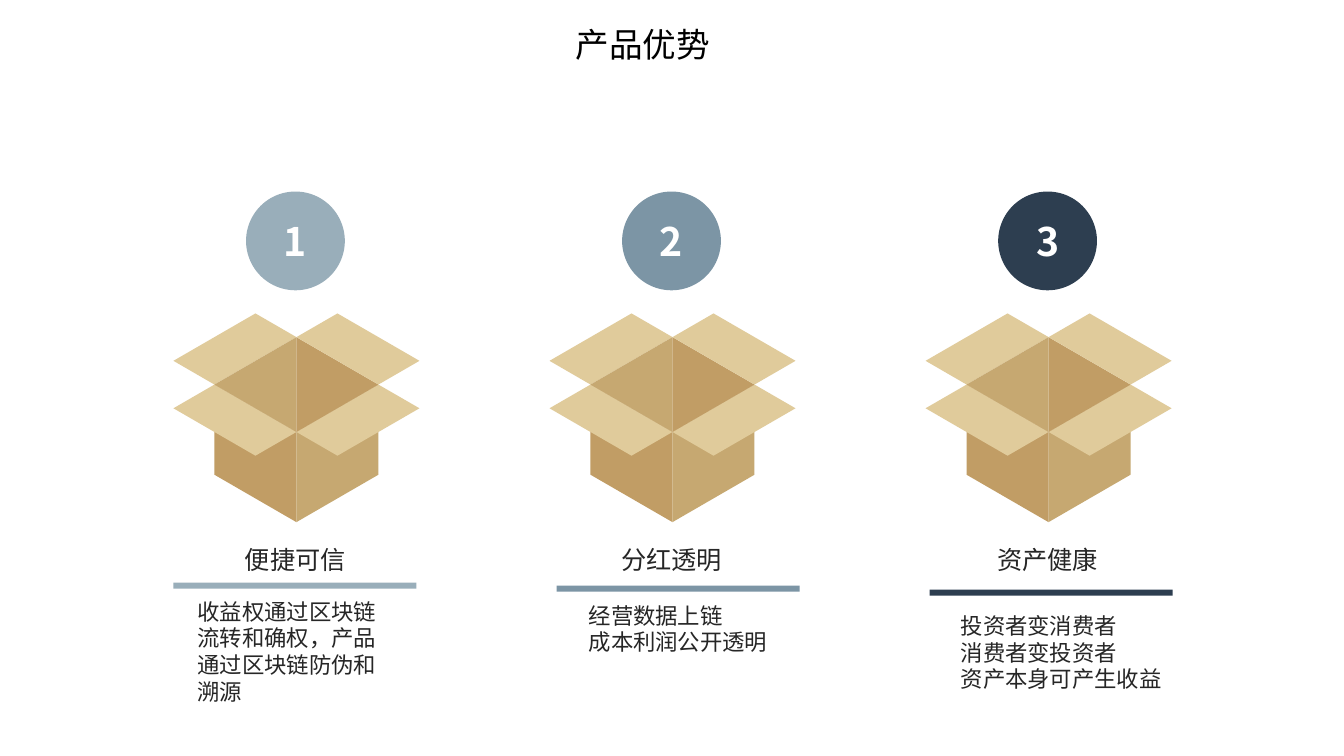
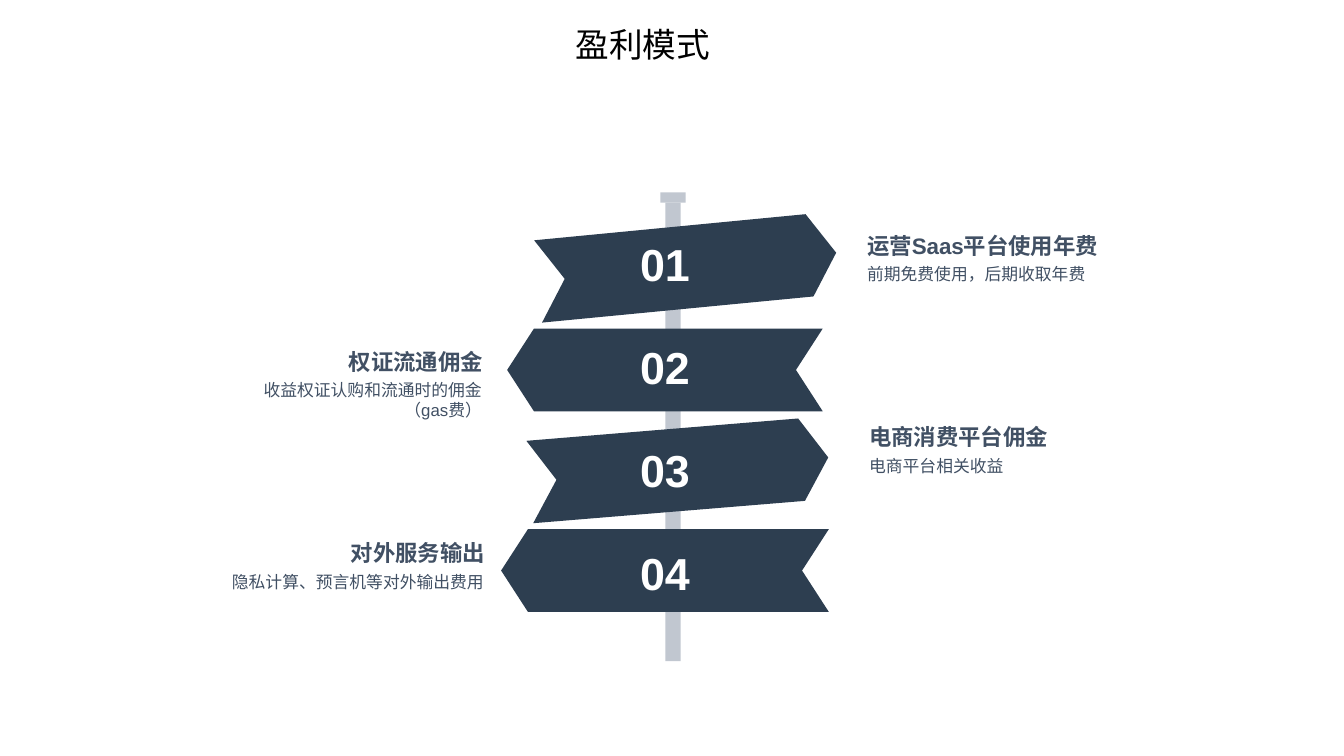
import pptx
import pptx.util
import pptx.dml.color
import pptx.enum.shapes
import pptx.enum.text
import pptx.oxml
import pptx.oxml.ns

Inches = pptx.util.Inches
SHAPE = pptx.enum.shapes.MSO_SHAPE
ALIGN = pptx.enum.text.PP_ALIGN
CJK, LATIN = "Noto Sans CJK SC", "Arial"
NAVY, STEEL, MIST = "2D3E50", "7C95A5", "99AEBA"
BLACK, INK, SLATE, WHITE, POST = "000000", "262626", "415064", "FFFFFF", "C1C7D0"
KRAFT_DARK, KRAFT_MID, KRAFT_LIGHT = "C19D65", "C6A871", "E0CB9B"


def rgb(value):
    return pptx.dml.color.RGBColor.from_string(value)


def paint(shape, color):
    shape.shadow.inherit = False
    shape.fill.solid()
    shape.fill.fore_color.rgb = rgb(color)
    shape.line.fill.background()
    return shape


def add_block(shapes, kind, left, top, width, height, color):
    return paint(shapes.add_shape(kind, Inches(left), Inches(top),
                                  Inches(width), Inches(height)), color)


def write(frame, lines, size, color, font=CJK, bold=False, align=ALIGN.LEFT):
    frame.word_wrap = True
    for index, line in enumerate(lines):
        paragraph = frame.add_paragraph() if index else frame.paragraphs[0]
        paragraph.alignment = align
        run = paragraph.add_run()
        run.text = line
        run.font.name = font
        run.font.size = pptx.util.Pt(size)
        run.font.bold = bold
        run.font.color.rgb = rgb(color)
        # East Asian characters take their own typeface
        east_asian = pptx.oxml.parse_xml(
            f'<a:ea {pptx.oxml.ns.nsdecls("a")} typeface="{CJK}"/>')
        run.font._element.append(east_asian)


def add_text(slide, left, top, width, height, lines, size, color,
             inset=True, **style):
    box = slide.shapes.add_textbox(Inches(left), Inches(top),
                                   Inches(width), Inches(height))
    frame = box.text_frame
    if not inset:
        frame.margin_left = frame.margin_right = 0
        frame.margin_top = frame.margin_bottom = 0
    write(frame, lines, size, color, **style)
    frame.auto_size = pptx.enum.text.MSO_AUTO_SIZE.SHAPE_TO_FIT_TEXT


def add_titled_slide(deck, title):
    slide = deck.slides.add_slide(deck.slide_layouts[6])
    add_text(slide, 5.61, 0.19, 3.29, 0.5, [title], 24, BLACK)
    return slide


# Faces of the open carton, in grid steps from the centre of its opening
CARTON_FACES = [
    (KRAFT_DARK, [(-2, 0), (-2, 3.8), (0, 5.8), (0, 2)]),
    (KRAFT_MID, [(2, 0), (2, 3.8), (0, 5.8), (0, 2)]),
    (KRAFT_LIGHT, [(3, 1), (1, 3), (0, 2), (2, 0)]),
    (KRAFT_LIGHT, [(-2, 0), (0, 2), (-1, 3), (-3, 1)]),
    (KRAFT_DARK, [(2, 0), (0, 2), (0, -2)]),
    (KRAFT_LIGHT, [(0, -2), (-2, 0), (-3, -1), (-1, -3)]),
    (KRAFT_LIGHT, [(1, -3), (3, -1), (2, 0), (0, -2)]),
    (KRAFT_MID, [(0, -2), (-2, 0), (0, 2)]),
]


def add_carton(slide, left, top, width, height):
    step_x, step_y = width / 6, height / 8.8
    carton = slide.shapes.add_group_shape()
    for color, corners in CARTON_FACES:
        points = [(Inches(left + (x + 3) * step_x), Inches(top + (y + 3) * step_y))
                  for x, y in corners]
        outline = carton.shapes.build_freeform(*points[0])
        outline.add_line_segments(points[1:], close=True)
        paint(outline.convert_to_shape(), color)


def add_advantage(slide, left, top, number, color, heading, rule, body, lines):
    add_carton(slide, left, top + 1.21, 2.44, 2.07)
    # Number badge
    badge = add_block(slide.shapes, SHAPE.OVAL, left + 0.72, top, 0.98, 0.98, color)
    badge.text_frame.vertical_anchor = pptx.enum.text.MSO_ANCHOR.MIDDLE
    write(badge.text_frame, [str(number)], 28, WHITE, bold=True, align=ALIGN.CENTER)
    # Heading, rule and explanation
    add_text(slide, left + 0.04, top + 3.45, 2.34, 0.4, [heading], 18, INK,
             align=ALIGN.CENTER)
    rule_x, rule_y = rule
    add_block(slide.shapes, SHAPE.RECTANGLE, left + rule_x, top + rule_y,
              2.41, 0.06, color)
    body_x, body_y, width, height = body
    add_text(slide, left + body_x, top + body_y, width, height, lines, 16, INK)


def build_advantages(deck):
    slide = add_titled_slide(deck, "产品优势")
    advantages = [
        (MIST, "便捷可信", (0, 3.88), (0.14, 3.98, 2.15, 1.18),
         ["收益权通过区块链流转和确权，产品通过区块链防伪和溯源"]),
        (STEEL, "分红透明", (0.07, 3.91), (0.29, 4.02, 2.15, 0.64),
         ["经营数据上链", "成本利润公开透明"]),
        (NAVY, "资产健康", (0.04, 3.95), (0.25, 4.12, 2.52, 0.91),
         ["投资者变消费者", "消费者变投资者", "资产本身可产生收益"]),
    ]
    for index, advantage in enumerate(advantages):
        add_advantage(slide, 1.72 + 3.73 * index, 1.9, index + 1, *advantage)


def add_post(slide, left, top):
    post = slide.shapes.add_group_shape()
    add_block(post.shapes, SHAPE.RECTANGLE, left + 0.05, top + 0.1, 0.15, 4.55, POST)
    add_block(post.shapes, SHAPE.RECTANGLE, left, top, 0.25, 0.1, POST)


def add_sign(slide, left, top, width, rotation):
    sign = add_block(slide.shapes, SHAPE.NOTCHED_RIGHT_ARROW, left, top,
                     width, 0.82, NAVY)
    sign.adjustments[0] = 1
    sign.adjustments[1] = 0.324
    sign.rotation = rotation


def add_income(slide, left, top, heading, detail, detail_height, align):
    add_text(slide, left, top, 2.56, 0.27, [heading], 16, SLATE, inset=False,
             font=LATIN, bold=True, align=align)
    add_text(slide, left, top + 0.32, 2.55, detail_height, [detail], 12, SLATE,
             inset=False, font=LATIN, align=align)


def build_income_model(deck):
    slide = add_titled_slide(deck, "盈利模式")
    add_post(slide, 6.55, 1.91)
    # Each sign: left, top, width, rotation; then its label
    incomes = [
        ((5.33, 2.24, 2.97, 354.5),
         (8.6, 2.3, "运营Saas平台使用年费", "前期免费使用，后期收取年费", 0.2, ALIGN.LEFT)),
        ((5.03, 3.26, 3.13, 180),
         (2.23, 3.45, "权证流通佣金", "收益权证认购和流通时的佣金（gas费）", 0.4, ALIGN.RIGHT)),
        ((5.25, 4.25, 2.97, 355.3),
         (8.62, 4.2, "电商消费平台佣金", "电商平台相关收益", 0.2, ALIGN.LEFT)),
        ((4.97, 5.25, 3.25, 180),
         (2.25, 5.35, "对外服务输出", "隐私计算、预言机等对外输出费用", 0.2, ALIGN.RIGHT)),
    ]
    for index, (sign, label) in enumerate(incomes):
        add_sign(slide, *sign)
        add_income(slide, *label)
        add_text(slide, 6.07, 2.35 + 1.02 * index, 1.05, 0.54, [f"{index + 1:02}"],
                 32, WHITE, inset=False, font=LATIN, bold=True, align=ALIGN.CENTER)


deck = pptx.Presentation()
deck.slide_width, deck.slide_height = Inches(13.33), Inches(7.5)
build_advantages(deck)
build_income_model(deck)
deck.save("out.pptx")
